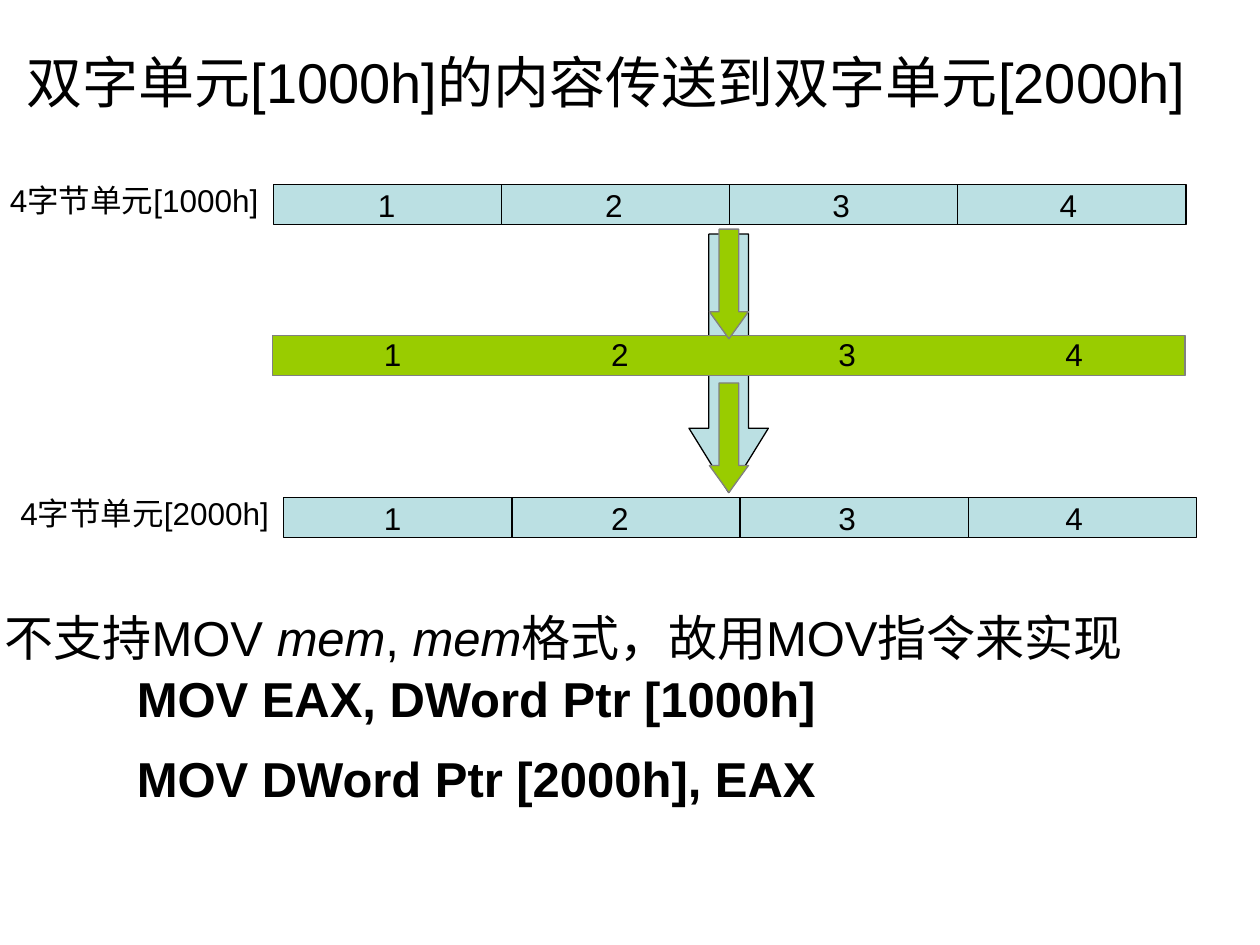
import pptx
import pptx.dml.color
import pptx.enum.shapes
import pptx.oxml.ns
import pptx.util
from lxml import etree

Cm = pptx.util.Cm
Pt = pptx.util.Pt
MSO = pptx.enum.shapes.MSO_SHAPE
COLORS = {"text": "000000", "memory": "BBE0E3", "outline": "000000",
          "register": "99CC00", "register_line": "808080"}
FONT = "Arial"
CELL_W, CELL_H = 4.6, 0.81
DIGIT_STEP = 4.58


def rgb(name):
    return pptx.dml.color.RGBColor.from_string(COLORS[name])


class Builder:
    def __init__(self, slide):
        self.s = slide

    def shape(self, kind, x, y, w, h, fill, line, adj=()):
        sp = self.s.shapes.add_shape(kind, Cm(x), Cm(y), Cm(w), Cm(h))
        sp.shadow.inherit = False
        sp.fill.solid()
        sp.fill.fore_color.rgb = rgb(fill)
        sp.line.color.rgb = rgb(line)
        sp.line.width = Pt(0.75)
        for i, value in enumerate(adj):
            sp.adjustments[i] = value

    def text(self, x, y, w, h, size, runs, bold=False, wrap=False, tabs=()):
        """Add one line of text; runs is a list of (text, italic)."""
        tf = self.s.shapes.add_textbox(Cm(x), Cm(y), Cm(w), Cm(h)).text_frame
        tf.word_wrap = wrap
        p = tf.paragraphs[0]
        if tabs:
            qn = pptx.oxml.ns.qn
            tab_list = etree.SubElement(p._p.get_or_add_pPr(), qn("a:tabLst"))
            for pos in tabs:
                etree.SubElement(tab_list, qn("a:tab"), pos=str(Cm(pos)), algn="l")
        for content, italic in runs:
            r = p.add_run()
            r.text = content
            r.font.name = FONT
            r.font.size = Pt(size)
            r.font.bold = bold
            r.font.italic = italic
            r.font.color.rgb = rgb("text")

    def memory_row(self, x, y, label):
        """Four byte cells with their address label on the left."""
        for i in range(4):
            self.shape(MSO.RECTANGLE, x + i * CELL_W, y, CELL_W, CELL_H,
                       "memory", "outline")
        self.text(x - 5.56, y - 0.2, 5.82, 1.02, 18, [(label, False)])

    def digits(self, x, y):
        """The byte values 1 to 4, spread by tab stops."""
        self.text(x, y, 15, 1.02, 18, [("1\t2\t3\t4", False)], wrap=True,
                  tabs=[DIGIT_STEP * i for i in (1, 2, 3)])

    def register_arrow(self, y):
        self.shape(MSO.DOWN_ARROW, 14.3, y, 0.79, 2.21,
                   "register", "register_line", (0.5, 0.69))


def main():
    prs = pptx.Presentation()
    prs.slide_width, prs.slide_height = Cm(25.4), Cm(19.05)
    b = Builder(prs.slides.add_slide(prs.slide_layouts[6]))

    # Source and target memory
    b.memory_row(5.51, 3.72, "4字节单元[1000h]")
    b.memory_row(5.72, 10.03, "4字节单元[2000h]")

    # Title
    b.text(0.28, 0.84, 24.69, 1.63, 32,
           [("双字单元[1000h]的内容传送到双字单元[2000h]", False)])

    # Direct transfer arrow
    b.shape(MSO.DOWN_ARROW, 13.89, 4.72, 1.6, 5.21,
            "memory", "outline", (0.5, 0.81))

    # Explanation and code
    b.text(-0.15, 12.12, 23.98, 1.45, 28,
           [("不支持MOV ", False), ("mem", True), (", ", False),
            ("mem", True), ("格式，故用MOV指令来实现", False)])
    for y, code in ((13.36, "MOV EAX, DWord Ptr [1000h]"),
                    (14.96, "MOV DWord Ptr [2000h], EAX")):
        b.text(2.51, y, 14.2, 1.45, 28, [(code, False)], bold=True)

    # Transfer through the register
    b.shape(MSO.RECTANGLE, 5.49, 6.76, 4 * CELL_W, CELL_H,
            "register", "register_line")
    for y in (4.62, 7.72):
        b.register_arrow(y)

    # Byte values
    for x, y in ((7.37, 3.63), (7.49, 6.63), (7.49, 9.93)):
        b.digits(x, y)

    prs.save("out.pptx")


if __name__ == "__main__":
    main()
